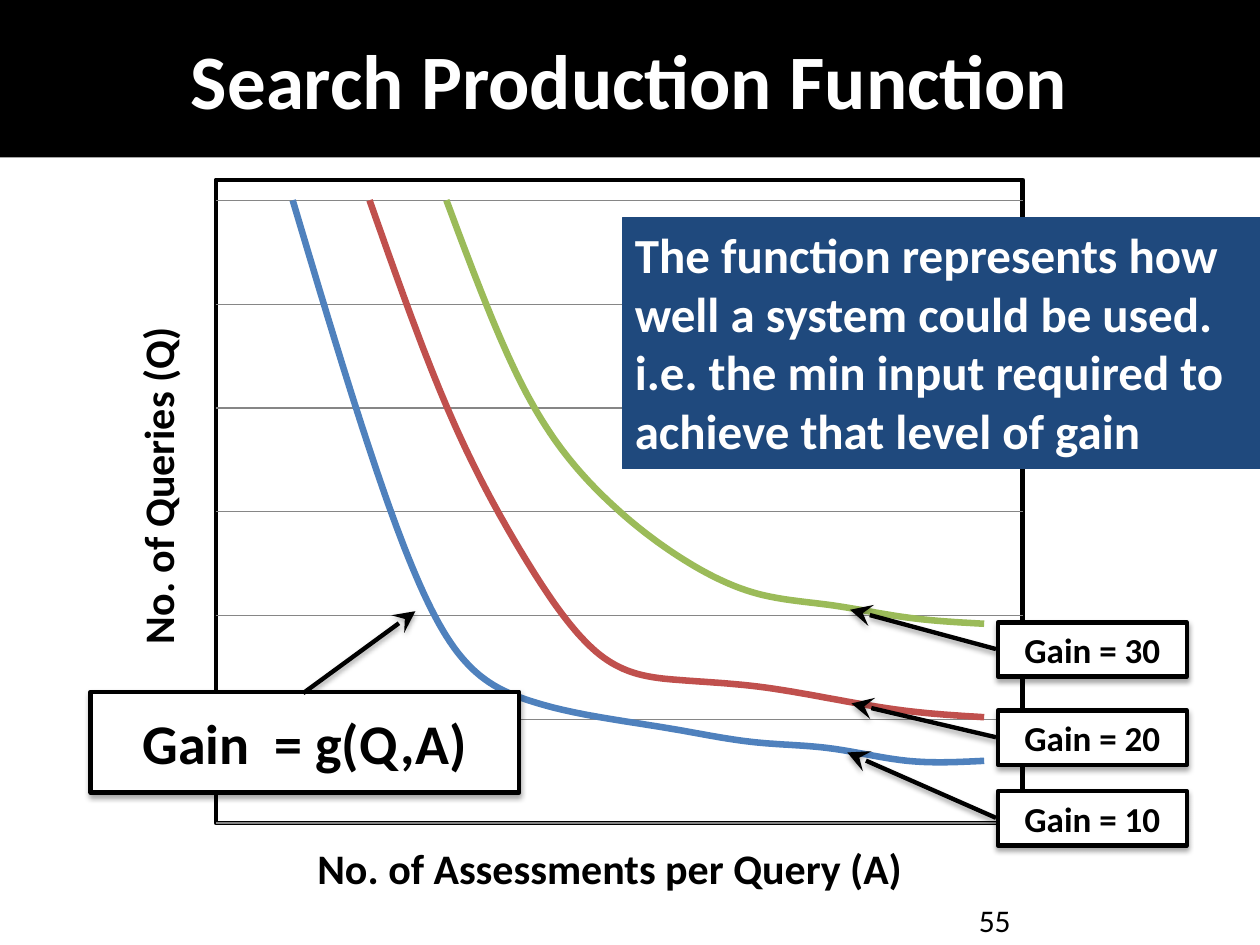
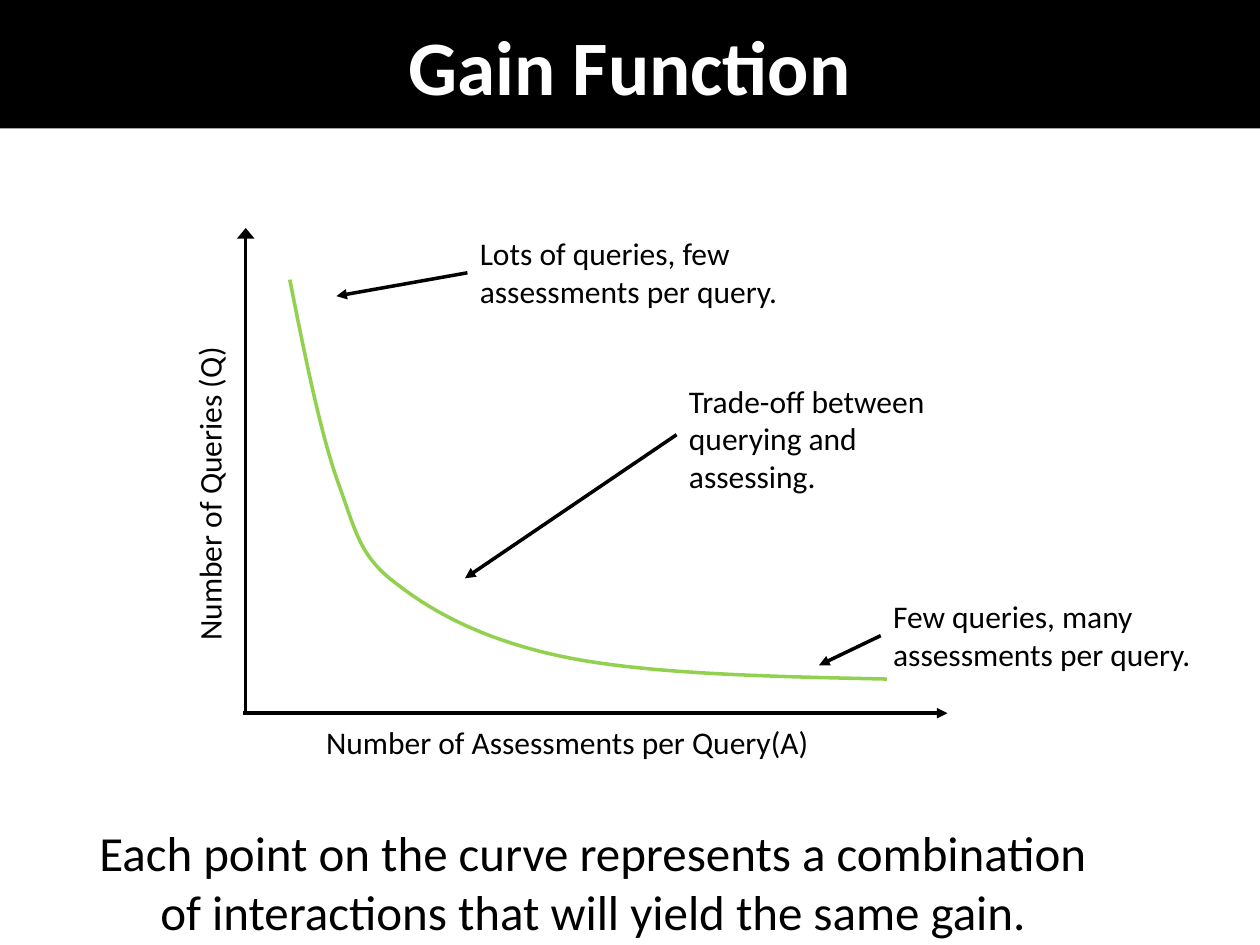
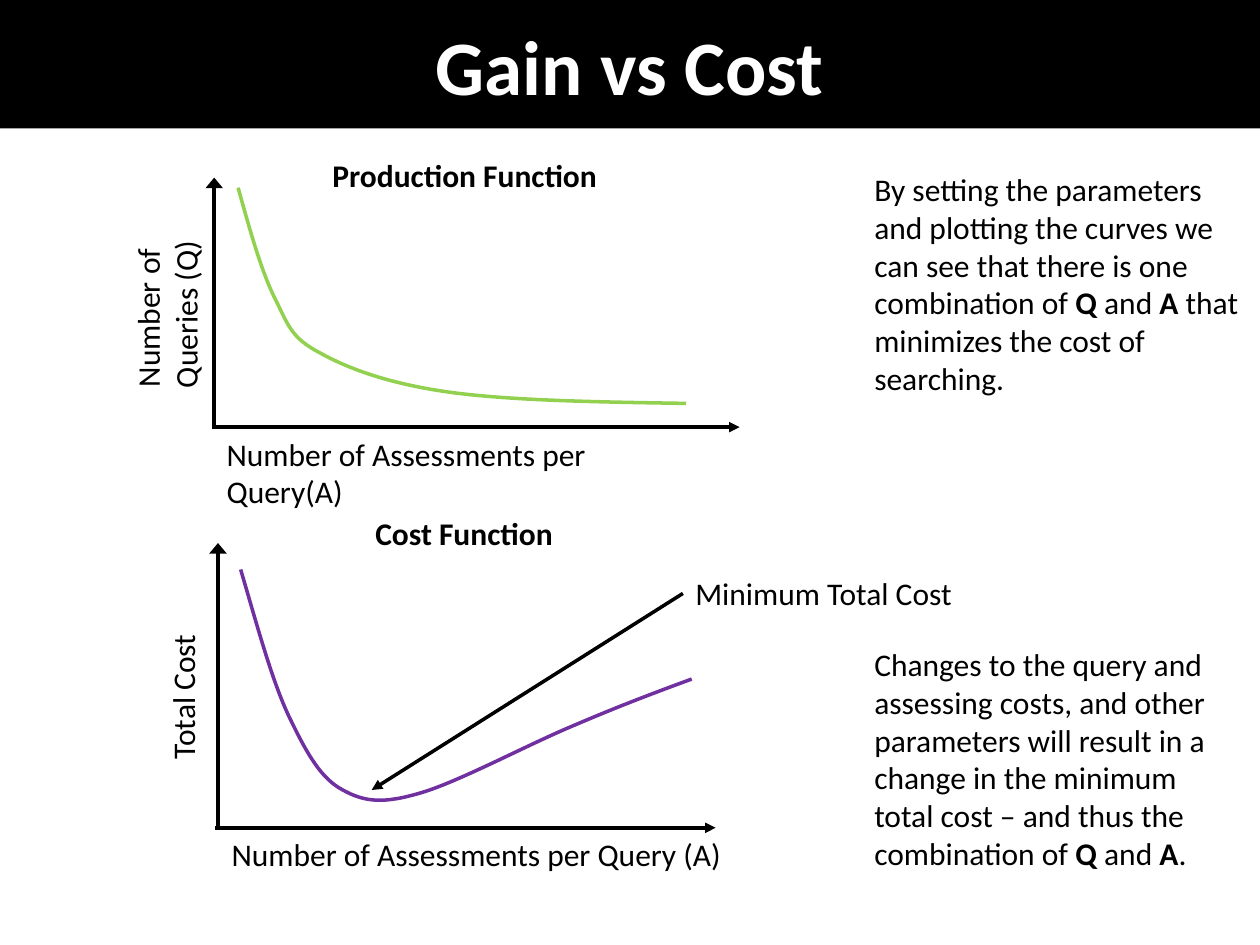
from dataclasses import dataclass

from lxml import etree
from pptx import Presentation
from pptx.chart.data import XyChartData
from pptx.dml.color import RGBColor
from pptx.enum.chart import XL_CHART_TYPE, XL_MARKER_STYLE
from pptx.enum.shapes import MSO_CONNECTOR, MSO_SHAPE
from pptx.enum.text import MSO_ANCHOR, MSO_AUTO_SIZE, PP_ALIGN
from pptx.oxml import parse_xml
from pptx.oxml.ns import nsdecls, qn
from pptx.util import Inches, Pt

LEFT, CENTER = PP_ALIGN.LEFT, PP_ALIGN.CENTER
TOP, MIDDLE = MSO_ANCHOR.TOP, MSO_ANCHOR.MIDDLE
RECTANGLE, CALLOUT = MSO_SHAPE.RECTANGLE, MSO_SHAPE.LINE_CALLOUT_1
STRAIGHT = MSO_CONNECTOR.STRAIGHT
SMOOTH_SCATTER = XL_CHART_TYPE.XY_SCATTER_SMOOTH_NO_MARKERS
NO_MARKER = XL_MARKER_STYLE.NONE
NO_AUTO_SIZE = MSO_AUTO_SIZE.NONE

FONT = "Calibri"
BLACK, WHITE, NAVY = "000000", "FFFFFF", "1F497D"
GREEN, PURPLE, GRID_GREY = "92D050", "7030A0", "868686"
LEFT_SIDE = 1
TITLE_AND_BODY, TITLE_ONLY = 1, 5


@dataclass
class Box:
    left: float
    top: float
    width: float
    height: float

    def inches(self) -> tuple:
        return tuple(Inches(v) for v in (self.left, self.top, self.width, self.height))


@dataclass
class Label:
    text: str
    box: Box
    bold: bool = False
    size: float = 18
    align: int = LEFT
    wrap: bool = False
    rotation: float = 0


@dataclass
class Callout:
    text: str
    box: Box
    pointer: tuple
    size: float = 20


@dataclass
class Note:
    label: Label
    target: tuple


@dataclass
class GainSeries:
    name: str
    color: str
    values: tuple


GAIN_SERIES = [
    GainSeries("Series 1", "4F81BD", (100, 60, 30, 20, 17, 15, 13, 12, 10, 10)),
    GainSeries("Series 2", "C0504D", (None, 100, 67, 43, 27, 23, 22, 20, 18, 17)),
    GainSeries("Series 3", "9BBB59", (None, None, 100, 70, 53, 43, 37, 35, 33, 32)),
]

# Bezier points in inches, measured from where each curve starts
PRODUCTION_CURVE = [
    (0, 0), (0.12, 0.6), (0.24, 1.2), (0.38, 1.6), (0.53, 2.01), (0.55, 2.2),
    (0.87, 2.43), (1.18, 2.67), (1.62, 2.89), (2.26, 3.01), (2.91, 3.13),
    (3.82, 3.15), (4.74, 3.17),
]
COST_CURVE = [
    (0, 0), (0.13, 0.44), (0.25, 0.89), (0.39, 1.18), (0.53, 1.47), (0.64, 1.66),
    (0.81, 1.75), (0.99, 1.85), (1.14, 1.86), (1.44, 1.77), (1.74, 1.68),
    (2.28, 1.39), (2.64, 1.24), (2.99, 1.09), (3.28, 0.98), (3.58, 0.87),
]


def rgb(color: str) -> RGBColor:
    return RGBColor.from_string(color)


def write_text(frame, text: str, *, size: float = 18, color: str = BLACK, bold: bool = False,
               align=LEFT, anchor=TOP, wrap: bool = True) -> None:
    """Each line is a paragraph; words between ** marks are bold."""
    frame.word_wrap = wrap
    frame.auto_size = NO_AUTO_SIZE
    frame.vertical_anchor = anchor
    for number, line in enumerate(text.split("\n")):
        paragraph = frame.add_paragraph() if number else frame.paragraphs[0]
        paragraph.alignment = align
        for index, part in enumerate(line.split("**")):
            run = paragraph.add_run()
            run.text = part
            run.font.name = FONT
            run.font.size = Pt(size)
            run.font.bold = bold or index % 2 == 1
            run.font.color.rgb = rgb(color)


def add_titled_slide(presentation, layout: int, title: str, band_height: float):
    slide = presentation.slides.add_slide(presentation.slide_layouts[layout])
    shape = slide.shapes.title
    shape.left, shape.top, shape.width, shape.height = Box(0, 0, 10, band_height).inches()
    shape.fill.solid()
    shape.fill.fore_color.rgb = rgb(BLACK)
    write_text(shape.text_frame, title, size=44, color=WHITE, bold=True,
               align=CENTER, anchor=MIDDLE)
    return slide


def add_label(slide, label: Label):
    shape = slide.shapes.add_textbox(*label.box.inches())
    shape.rotation = label.rotation
    write_text(shape.text_frame, label.text, size=label.size, bold=label.bold,
               align=label.align, wrap=label.wrap)
    return shape


def add_filled_shape(slide, kind, box: Box, fill: str, line: str, line_width: float):
    shape = slide.shapes.add_shape(kind, *box.inches())
    shape.shadow.inherit = False
    shape.fill.solid()
    shape.fill.fore_color.rgb = rgb(fill)
    shape.line.color.rgb = rgb(line)
    shape.line.width = Pt(line_width)
    return shape


def add_line_end(shape, end: str, kind: str, width: str = "med", length: str = "med") -> None:
    line = shape._element.spPr.find(qn("a:ln"))
    etree.SubElement(line, qn(f"a:{end}"), type=kind, w=width, len=length)


def add_callout(slide, callout: Callout) -> None:
    shape = add_filled_shape(slide, CALLOUT, callout.box, WHITE, BLACK, 2.5)
    for index, value in enumerate(callout.pointer):
        shape.adjustments[index] = value
    add_line_end(shape, "tailEnd", "stealth", "lg", "lg")
    effects = shape._element.spPr.find(qn("a:effectLst"))
    effects.append(parse_xml(
        f'<a:outerShdw {nsdecls("a")} blurRad="{Pt(3.1)}" dist="{Pt(1.8)}" dir="5400000" '
        f'rotWithShape="0"><a:srgbClr val="{BLACK}"><a:alpha val="35000"/></a:srgbClr>'
        '</a:outerShdw>'))
    write_text(shape.text_frame, callout.text, size=callout.size, bold=True,
               align=CENTER, anchor=MIDDLE)


def add_arrow(slide, tip: tuple, start: tuple, head_width: str = "med"):
    """Draw an arrow whose head is at the tip."""
    connector = slide.shapes.add_connector(STRAIGHT, *(Inches(v) for v in (*tip, *start)))
    connector.line.color.rgb = rgb(BLACK)
    connector.line.width = Pt(2)
    add_line_end(connector, "headEnd", "triangle", head_width)
    etree.SubElement(connector._element.spPr, qn("a:effectLst"))
    return connector


def add_axes(slide, left: float, top: float, right: float, bottom: float) -> None:
    add_arrow(slide, (left, top), (left, bottom), "lg")
    add_arrow(slide, (right, bottom), (left - 0.02, bottom))


def add_note(slide, note: Note) -> None:
    text_box = add_label(slide, note.label)
    box = note.label.box
    arrow = add_arrow(slide, note.target, (box.left, box.top + box.height / 2))
    arrow.end_connect(text_box, LEFT_SIDE)


def add_curve(slide, controls: list, start: tuple, color: str,
              scale_x: float = 1, scale_y: float = 1) -> None:
    points = [(Inches(start[0] + x * scale_x), Inches(start[1] + y * scale_y))
              for x, y in controls]
    builder = slide.shapes.build_freeform(*points[0])
    builder.add_line_segments(points[1:], close=False)
    shape = builder.convert_to_shape()
    shape.shadow.inherit = False
    shape.fill.background()
    shape.line.color.rgb = rgb(color)
    shape.line.width = Pt(2)

    # Turn every three straight segments into one Bezier segment
    segments = list(shape._element.spPr.iter(qn("a:lnTo")))
    outline = segments[0].getparent()
    for first in range(0, len(segments), 3):
        bezier = etree.SubElement(outline, qn("a:cubicBezTo"))
        for segment in segments[first:first + 3]:
            bezier.append(segment[0])
            outline.remove(segment)


def frame_plot_area(chart) -> None:
    """Fix the plot area inside the chart and give it a black border."""
    plot_area = chart._chartSpace.find(f'{qn("c:chart")}/{qn("c:plotArea")}')
    for layout in plot_area.findall(qn("c:layout")):
        plot_area.remove(layout)
    plot_area.insert(0, parse_xml(
        f'<c:layout {nsdecls("c")}><c:manualLayout><c:layoutTarget val="inner"/>'
        '<c:xMode val="edge"/><c:yMode val="edge"/><c:x val="0.02"/><c:y val="0.02"/>'
        '<c:w val="0.96"/><c:h val="0.96"/></c:manualLayout></c:layout>'))
    plot_area.append(parse_xml(
        f'<c:spPr {nsdecls("c", "a")}><a:noFill/><a:ln w="{Pt(2.5)}"><a:solidFill>'
        f'<a:srgbClr val="{BLACK}"/></a:solidFill></a:ln></c:spPr>'))


def clear_missing_points(series) -> None:
    for point in list(series._element.iter(qn("c:pt"))):
        if point.findtext(qn("c:v")) in ("None", ""):
            point.getparent().remove(point)


def add_gain_chart(slide, box: Box) -> None:
    data = XyChartData()
    for gain in GAIN_SERIES:
        points = data.add_series(gain.name)
        for x, value in enumerate(gain.values, start=1):
            points.add_data_point(x, value)
    chart = slide.shapes.add_chart(SMOOTH_SCATTER, *box.inches(), data).chart
    chart.has_legend = False
    chart.has_title = False
    chart.font.name = FONT
    chart.font.size = Pt(10)
    chart.font.color.rgb = rgb(BLACK)
    for axis, maximum in ((chart.category_axis, 10.5), (chart.value_axis, 103.3)):
        axis.minimum_scale, axis.maximum_scale = 0, maximum
        axis.has_major_gridlines = False
        axis.visible = False
    value_axis = chart.value_axis
    value_axis.major_unit = 16.66
    value_axis.has_major_gridlines = True
    value_axis.major_gridlines.format.line.color.rgb = rgb(GRID_GREY)
    value_axis.major_gridlines.format.line.width = Pt(0.75)
    plot = chart.plots[0]
    plot.vary_by_categories = False
    for series, gain in zip(plot.series, GAIN_SERIES):
        series.marker.style = NO_MARKER
        series.format.line.color.rgb = rgb(gain.color)
        series.format.line.width = Pt(3.75)
        series._element.find(qn("c:smooth")).set("val", "1")
        clear_missing_points(series)
    frame_plot_area(chart)


def build_search_production(presentation) -> None:
    slide = add_titled_slide(presentation, TITLE_ONLY, "Search Production Function", 1.25)
    add_gain_chart(slide, Box(1.58, 1.32, 6.67, 5.32))

    # Axis names and page number
    for label in (
        Label("No. of Queries (Q)", Box(-0.12, 3.59, 2.74, 0.5), True, 24, rotation=270),
        Label("No. of Assessments per Query (A)", Box(2.42, 6.64, 4.89, 0.5), True, 24),
        Label("55", Box(7.67, 7.1, 2.33, 0.4), wrap=True),
    ):
        add_label(slide, label)

    # Callouts that name the curves
    for gain, top, tip_y, tip_x in ((10, 6.28, -0.717, -0.797), (20, 5.64, -0.132, -0.775),
                                    (30, 4.94, -0.234, -0.782)):
        add_callout(slide, Callout(f"Gain = {gain}", Box(7.92, top, 1.5, 0.43),
                                   (0.492, -0.01, tip_y, tip_x)))
    add_callout(slide, Callout("Gain  = g(Q,A)", Box(0.72, 5.49, 3.4, 0.8),
                               (0.015, 0.496, -0.799, 0.758), 32))

    # Explanation panel
    panel = add_filled_shape(slide, RECTANGLE, Box(4.94, 1.73, 5.06, 1.99), NAVY, NAVY, 0.75)
    write_text(panel.text_frame,
               "The function represents how well a system could be used.\n"
               "i.e. the min input required to achieve that level of gain",
               size=28, color=WHITE, bold=True)


def build_gain_function(presentation) -> None:
    slide = add_titled_slide(presentation, TITLE_AND_BODY, "Gain Function", 1.02)

    # Summary in the body placeholder, without a bullet
    body = slide.placeholders[1]
    body.left, body.top, body.width, body.height = Box(0.54, 6.48, 8.33, 1.02).inches()
    write_text(body.text_frame,
               "Each point on the curve represents a combination of interactions "
               "that will yield the same gain.", size=28, align=CENTER)
    properties = body.text_frame.paragraphs[0]._p.get_or_add_pPr()
    properties.set("marL", "0")
    properties.set("indent", "0")
    etree.SubElement(properties, qn("a:buNone"))

    # Axes and curve
    add_axes(slide, 1.95, 1.81, 7.52, 5.66)
    add_label(slide, Label("Number of Queries (Q)", Box(0.38, 3.72, 2.56, 0.4),
                           align=CENTER, rotation=270))
    add_label(slide, Label("Number of Assessments per Query(A)", Box(2.49, 5.69, 4.07, 0.4)))
    add_curve(slide, PRODUCTION_CURVE, (2.3, 2.22), GREEN)

    # Notes along the curve
    for text, box, target in (
        ("Trade-off between querying and assessing.", Box(5.37, 2.98, 2.26, 0.94), (3.69, 4.59)),
        ("Lots of queries, few assessments per query.", Box(3.71, 1.81, 2.8, 0.71), (2.67, 2.35)),
        ("Few queries, many assessments per query.", Box(6.99, 4.69, 2.8, 0.71), (6.5, 5.28)),
    ):
        add_note(slide, Note(Label(text, box, wrap=True), target))


def build_gain_vs_cost(presentation) -> None:
    slide = add_titled_slide(presentation, TITLE_ONLY, "Gain vs Cost", 1.02)

    # Axes and curves
    add_axes(slide, 1.7, 1.41, 5.87, 3.39)
    add_axes(slide, 1.73, 4.31, 5.68, 6.57)
    add_curve(slide, PRODUCTION_CURVE, (1.89, 1.49), GREEN, 0.75, 0.54)
    add_curve(slide, COST_CURVE, (1.91, 4.52), PURPLE)

    # Graph names, axis names and explanations
    for label in (
        Label("Production Function", Box(2.54, 1.19, 2.32, 0.4), True),
        Label("Number of \nQueries (Q)", Box(0.63, 2.14, 1.39, 0.71),
              align=CENTER, rotation=270),
        Label("Number of Assessments per Query(A)", Box(1.7, 3.4, 3.05, 0.71), wrap=True),
        Label("Cost Function", Box(2.88, 4.03, 1.62, 0.4), True),
        Label("Total Cost", Box(0.85, 5.33, 1.2, 0.4), align=CENTER, rotation=270),
        Label("Number of Assessments per Query (A)", Box(1.74, 6.58, 4.13, 0.4)),
        Label("By setting the parameters and plotting the curves we can see that there is one "
              "combination of **Q** and **A** that minimizes the cost of searching.",
              Box(6.84, 1.3, 3.12, 1.92), wrap=True),
        Label("Changes to the query and assessing costs, and other parameters will result in a "
              "change in the minimum total cost – and thus the combination of **Q** and **A**.",
              Box(6.84, 5.07, 3.08, 1.92), wrap=True),
    ):
        add_label(slide, label)
    add_note(slide, Note(Label("Minimum Total Cost", Box(5.42, 4.51, 2.26, 0.4), wrap=True),
                         (2.95, 6.27)))


def main() -> None:
    presentation = Presentation()
    presentation.slide_width, presentation.slide_height = Inches(10), Inches(7.5)
    build_search_production(presentation)
    build_gain_function(presentation)
    build_gain_vs_cost(presentation)
    presentation.save("out.pptx")


if __name__ == "__main__":
    main()
